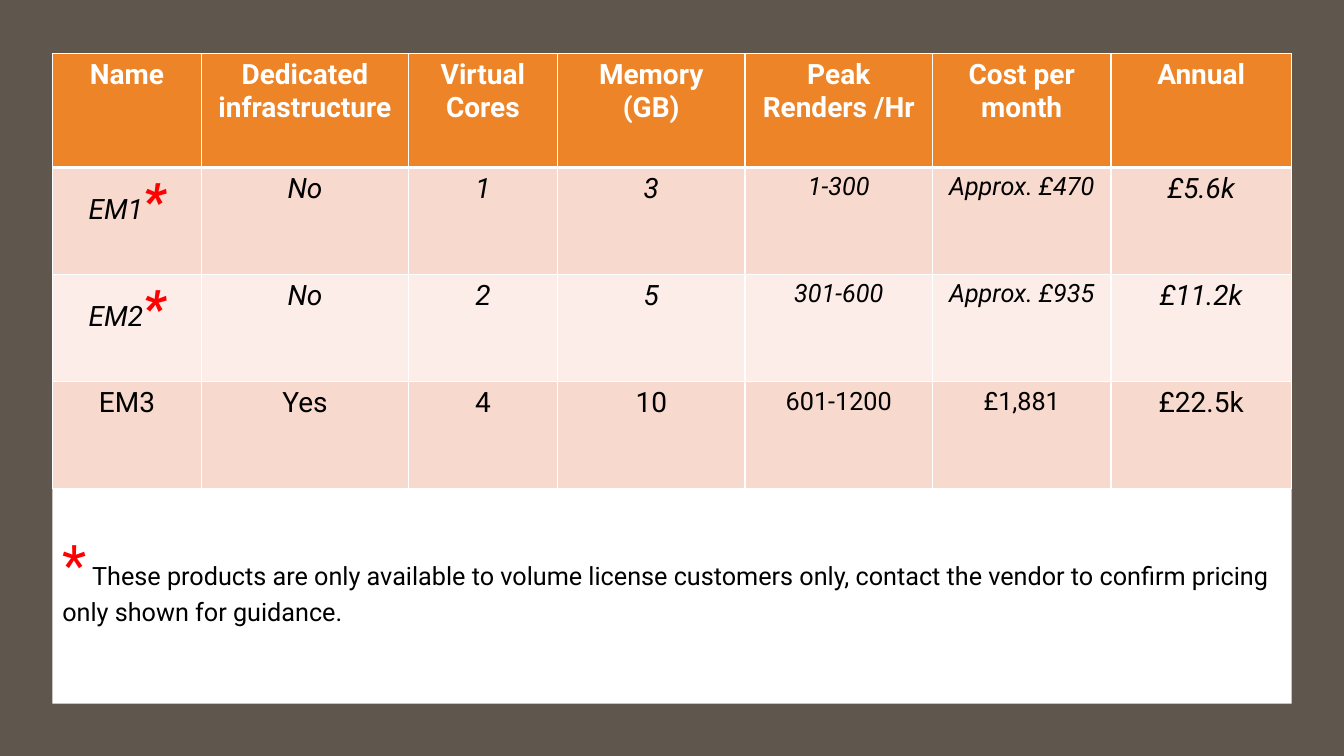
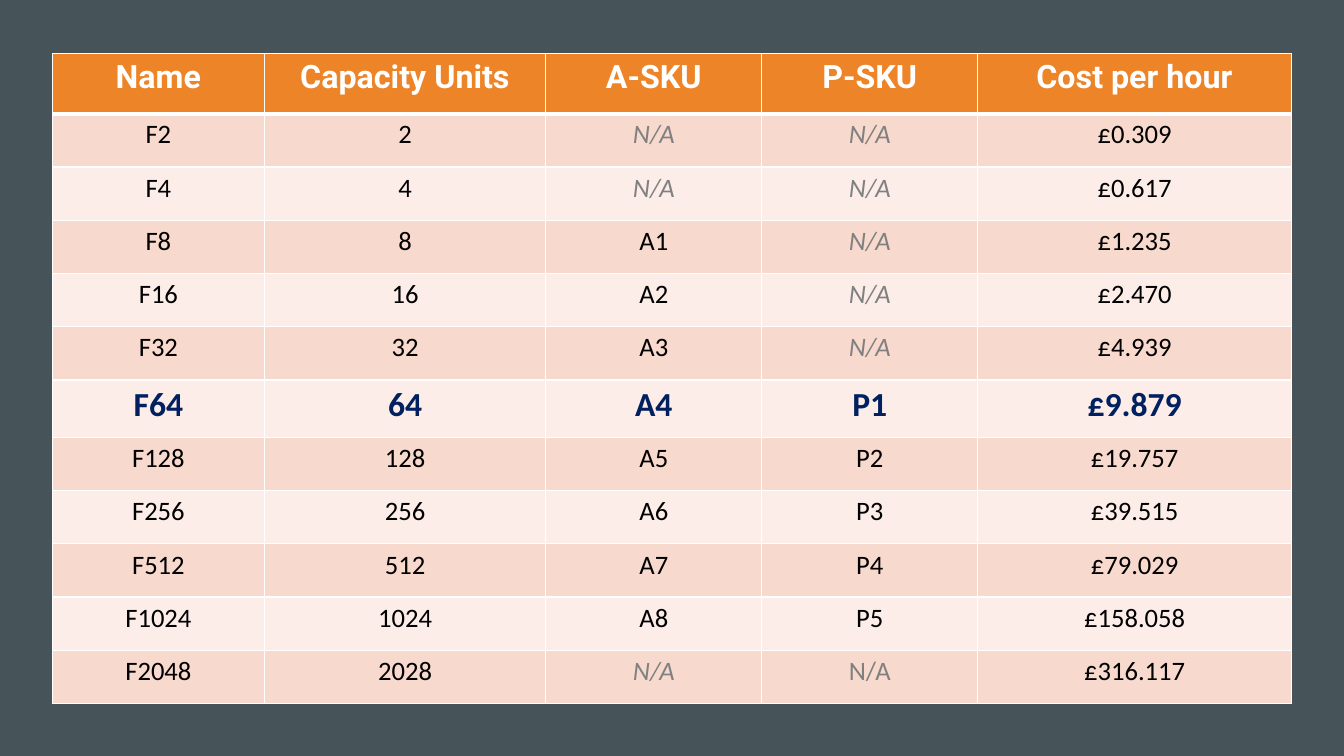
from dataclasses import dataclass, replace

from lxml.etree import SubElement
from pptx import Presentation
from pptx.dml.color import RGBColor
from pptx.enum.shapes import MSO_SHAPE as Shape
from pptx.enum.text import MSO_AUTO_SIZE as AutoSize, PP_ALIGN as Align
from pptx.oxml.ns import qn
from pptx.util import Inches, Pt

WHITE = RGBColor(0xFF, 0xFF, 0xFF)
BLACK = RGBColor(0x00, 0x00, 0x00)
ORANGE = RGBColor(0xED, 0x84, 0x28)
PEACH = RGBColor(0xF8, 0xD9, 0xCD)
PALE_PEACH = RGBColor(0xFC, 0xED, 0xE8)
BROWN = RGBColor(0x5F, 0x56, 0x4D)
SLATE = RGBColor(0x46, 0x53, 0x59)
RED = RGBColor(0xFF, 0x00, 0x00)
GREY = RGBColor(0x80, 0x80, 0x80)
NAVY = RGBColor(0x00, 0x20, 0x60)

SLIDE_WIDTH, SLIDE_HEIGHT = 13.33, 7.5
PANEL_LEFT, PANEL_TOP = 0.52, 0.53
PANEL_WIDTH, PANEL_HEIGHT = 12.29, 6.45
THIN, THICK = 1, 3


@dataclass(frozen=True)
class Span:
    text: str
    size: float
    font: str = "Roboto"
    color: RGBColor = BLACK
    bold: bool = False
    italic: bool = False


@dataclass(frozen=True)
class Grid:
    """A table: the first row is its header, lengths are relative shares."""
    columns: tuple[float, ...]
    rows: tuple[float, ...]
    cells: list[list[list[Span]]]
    height: float


EMBEDDED_HEADER = ("Name", "Dedicated\ninfrastructure", "Virtual Cores", "Memory (GB)",
                   "Peak Renders /Hr", "Cost per month", "Annual")
EMBEDDED_PLANS = (
    ("EM1*", "No", "1", "3", "1-300", "Approx. £470", "£5.6k"),
    ("EM2*", "No", "2", "5", "301-600", "Approx. £935", "£11.2k"),
    ("EM3", "Yes", "4", "10", "601-1200", "£1,881", "£22.5k"),
)
SMALL_COLUMNS = (4, 5)

CAPACITY_HEADER = ("Name", "Capacity Units", "A-SKU", "P-SKU", "Cost per hour")
CAPACITY_PLANS = (
    ("F2", "2", "N/A", "N/A", "£0.309"),
    ("F4", "4", "N/A", "N/A", "£0.617"),
    ("F8", "8", "A1", "N/A", "£1.235"),
    ("F16", "16", "A2", "N/A", "£2.470"),
    ("F32", "32", "A3", "N/A", "£4.939"),
    ("F64", "64", "A4", "P1", "£9.879"),
    ("F128", "128", "A5", "P2", "£19.757"),
    ("F256", "256", "A6", "P3", "£39.515"),
    ("F512", "512", "A7", "P4", "£79.029"),
    ("F1024", "1024", "A8", "P5", "£158.058"),
    ("F2048", "2028", "N/A", "N/A", "£316.117"),
)
HIGHLIGHTED_PLAN = "F64"


def add_text(frame, spans: list[Span], *, align: Align = Align.LEFT) -> None:
    para = frame.paragraphs[0]
    para.alignment = align
    for span in spans:
        for index, line in enumerate(span.text.split("\n")):
            if index:
                para.add_line_break()
            run = para.add_run()
            run.text = line
            run.font.size = Pt(span.size)
            run.font.name = span.font
            run.font.color.rgb = span.color
            run.font.bold = span.bold
            run.font.italic = span.italic


def add_rectangle(page, left: float, top: float, width: float, height: float,
                  color: RGBColor) -> None:
    box = page.shapes.add_shape(Shape.RECTANGLE, Inches(left), Inches(top),
                                Inches(width), Inches(height))
    box.shadow.inherit = False
    box.fill.solid()
    box.fill.fore_color.rgb = color
    box.line.fill.background()


def set_borders(cell, *, top: float, bottom: float) -> None:
    properties = cell._tc.get_or_add_tcPr()
    for side, width in (("L", THIN), ("R", THIN), ("T", top), ("B", bottom)):
        line = SubElement(properties, qn(f"a:ln{side}"), w=str(Pt(width)))
        fill = SubElement(line, qn("a:solidFill"))
        SubElement(fill, qn("a:srgbClr"), val=str(WHITE))


def share_out(total: float, shares: tuple[float, ...]) -> list[int]:
    return [Inches(total * share / sum(shares)) for share in shares]


def add_grid(page, grid: Grid) -> None:
    table = page.shapes.add_table(
        len(grid.rows), len(grid.columns), Inches(PANEL_LEFT), Inches(PANEL_TOP),
        Inches(PANEL_WIDTH), Inches(grid.height)).table
    for column, width in zip(table.columns, share_out(PANEL_WIDTH, grid.columns)):
        column.width = width
    for row, height in zip(table.rows, share_out(grid.height, grid.rows)):
        row.height = height
    for row_index, row in enumerate(grid.cells):
        if row_index == 0:
            color = ORANGE
        else:
            color = PEACH if row_index % 2 else PALE_PEACH
        for column_index, spans in enumerate(row):
            cell = table.cell(row_index, column_index)
            set_borders(cell, top=THICK if row_index == 1 else THIN,
                        bottom=THICK if row_index == 0 else THIN)
            cell.fill.solid()
            cell.fill.fore_color.rgb = color
            add_text(cell.text_frame, spans, align=Align.CENTER)


def add_page(deck, backdrop: RGBColor, grid: Grid):
    """Add a slide with a coloured backdrop, a white panel and a table."""
    page = deck.slides.add_slide(deck.slide_layouts[6])
    add_rectangle(page, 0, 0, SLIDE_WIDTH, SLIDE_HEIGHT, backdrop)
    add_rectangle(page, PANEL_LEFT, PANEL_TOP, PANEL_WIDTH, PANEL_HEIGHT, WHITE)
    add_grid(page, grid)
    return page


def header_cells(titles: tuple[str, ...], size: float) -> list[list[Span]]:
    return [[Span(title, size, color=WHITE, bold=True)] for title in titles]


def embedded_cells(plan: tuple[str, ...]) -> list[list[Span]]:
    """Set plans marked with an asterisk in italics."""
    restricted = plan[0].endswith("*")
    cells = [[Span(text.rstrip("*"), 18 if index in SMALL_COLUMNS else 20, italic=restricted)]
             for index, text in enumerate(plan)]
    if restricted:
        cells[0].append(Span("*", 36, color=RED, bold=True, italic=True))
    return cells


def capacity_cells(plan: tuple[str, ...]) -> list[list[Span]]:
    plain = Span("", 19, font="Calibri")
    if plan[0] == HIGHLIGHTED_PLAN:
        plain = replace(plain, size=24, color=NAVY, bold=True)
    missing = replace(plain, color=GREY, italic=True)
    return [[replace(missing if text == "N/A" else plain, text=text)] for text in plan]


def add_embedded_page(deck) -> None:
    cells = [header_cells(EMBEDDED_HEADER, 20), *map(embedded_cells, EMBEDDED_PLANS)]
    page = add_page(deck, BROWN, Grid(
        columns=(1.48, 2.05, 1.48, 1.86, 1.86, 1.77, 1.79),
        rows=(1.13, 1.06, 1.06, 1.06), cells=cells, height=4.32))
    note = page.shapes.add_textbox(Inches(PANEL_LEFT), Inches(5.2),
                                   Inches(PANEL_WIDTH), Inches(1.08)).text_frame
    note.word_wrap = True
    note.auto_size = AutoSize.SHAPE_TO_FIT_TEXT
    add_text(note, [
        Span("*", 40, color=RED),
        Span(" These products are only available to volume license customers only, contact "
             "the vendor to confirm pricing only shown for guidance.", 18)])


def add_capacity_page(deck) -> None:
    cells = [header_cells(CAPACITY_HEADER, 23), *map(capacity_cells, CAPACITY_PLANS)]
    last_p_sku = cells[-1][3]
    last_p_sku[0] = replace(last_p_sku[0], italic=False)
    heights = [0.57 if plan[0] == HIGHLIGHTED_PLAN else 0.53 for plan in CAPACITY_PLANS]
    add_page(deck, SLATE, Grid(
        columns=(2.1, 2.79, 2.14, 2.14, 3.11),
        rows=(0.6, *heights), cells=cells, height=PANEL_HEIGHT))


def main() -> None:
    deck = Presentation()
    deck.slide_width = Inches(SLIDE_WIDTH)
    deck.slide_height = Inches(SLIDE_HEIGHT)
    add_embedded_page(deck)
    add_capacity_page(deck)
    deck.save("out.pptx")


if __name__ == "__main__":
    main()
